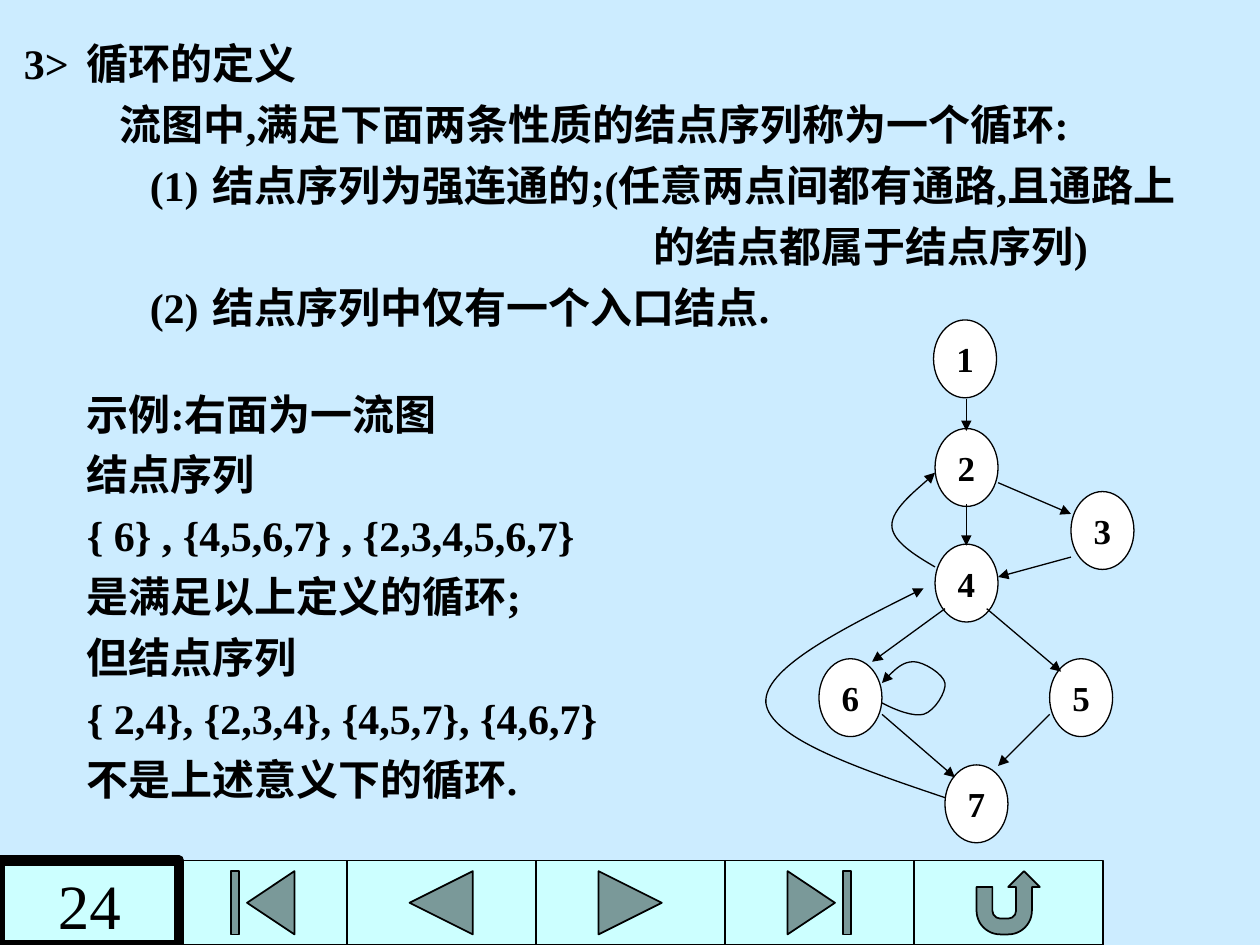
from dataclasses import dataclass
from typing import Any

from lxml import etree
from pptx import Presentation
from pptx import util as u
from pptx.dml import color
from pptx.enum import shapes, text
from pptx.oxml import ns

BLACK, WHITE, SKY, AQUA = "000000", "FFFFFF", "CCECFF", "CCFFFF"
Point = tuple[float, float]


@dataclass
class Line:
    """One paragraph; indent and tab are in cm."""
    content: str
    indent: float = 0
    tab: float = 0
    spacing: float = 1.0


@dataclass
class Node:
    label: str
    left: float
    top: float


@dataclass
class Button:
    kind: Any
    left: float
    width: float = 3.81


DEFINITION = [
    Line("3>\t循环的定义", tab=1.55),
    Line("流图中,满足下面两条性质的结点序列称为一个循环:", indent=1.94),
    Line("(1)\t结点序列为强连通的;(任意两点间都有通路,且通路上", indent=2.54, tab=4.17),
    Line("的结点都属于结点序列)", indent=12.7),
    Line("(2)\t结点序列中仅有一个入口结点.", indent=2.54, tab=4.17),
]
EXAMPLE = [
    Line("示例:右面为一流图", spacing=1.5),
    Line("结点序列"),
    Line("{ 6} , {4,5,6,7} , {2,3,4,5,6,7}"),
    Line("是满足以上定义的循环;"),
    Line("但结点序列"),
    Line("{ 2,4}, {2,3,4}, {4,5,7}, {4,6,7}"),
    Line("不是上述意义下的循环."),
]
NODES = [
    Node("1", 18.82, 6.45), Node("2", 18.85, 8.64), Node("4", 18.85, 10.97),
    Node("3", 21.59, 9.91), Node("6", 16.51, 13.28), Node("5", 21.16, 13.28),
    Node("7", 19.05, 15.42),
]
EDGES = [
    ((19.48, 8.05), (19.48, 8.69)),
    ((19.48, 10.16), (19.48, 11)),
    ((20.12, 9.73), (21.59, 10.36)),
    ((21.59, 11.23), (20.12, 11.63)),
    ((19.05, 12.27), (17.58, 13.34)),
    ((19.89, 12.27), (21.39, 13.54)),
    ((17.78, 14.4), (19.25, 15.67)),
    ((21.16, 14.4), (20.12, 15.44)),
]
BACK_EDGES = [
    [(18.85, 11.43), (18.42, 11.18), (17.98, 10.9), (17.98, 10.59),
     (17.98, 10.26), (18.69, 9.7), (18.85, 9.53)],
    [(17.78, 14.17), (18.08, 14.33), (18.42, 14.45), (18.62, 14.4),
     (18.85, 14.33), (19.08, 13.94), (19.05, 13.77),
     (19.02, 13.59), (18.62, 13.34), (18.42, 13.34),
     (18.21, 13.34), (17.98, 13.54), (17.78, 13.77)],
    [(19.05, 16.08), (17.3, 15.49), (15.52, 14.88), (15.44, 14.17),
     (15.39, 13.49), (16.99, 12.67), (18.62, 11.86)],
]
KIND = shapes.MSO_SHAPE
BUTTONS = [
    Button(KIND.ACTION_BUTTON_BEGINNING, 3.61, 3.38),
    Button(KIND.ACTION_BUTTON_BACK_OR_PREVIOUS, 6.99),
    Button(KIND.ACTION_BUTTON_FORWARD_OR_NEXT, 10.8),
    Button(KIND.ACTION_BUTTON_END, 14.61),
    Button(KIND.ACTION_BUTTON_RETURN, 18.42),
]
BAR_TOP, BAR_HEIGHT = 17.35, 1.7


def rgb(value: str) -> color.RGBColor:
    return color.RGBColor.from_string(value)


def add_text(paragraph: Any, content: str, size: float, bold: bool = True) -> None:
    run = paragraph.add_run()
    run.text = content
    values = {"name": "Times New Roman", "size": u.Pt(size), "bold": bold}
    for name, value in values.items():
        setattr(run.font, name, value)
    run.font.color.rgb = rgb(BLACK)


def set_line(shape: Any, width: float) -> None:
    shape.line.color.rgb = rgb(BLACK)
    shape.line.width = u.Pt(width)


def add_arrowhead(shape: Any) -> None:
    line = shape.line._get_or_add_ln()
    etree.SubElement(line, ns.qn("a:tailEnd"), type="triangle")


def add_box(slide: Any, kind: Any, left: float, top: float, width: float,
            height: float, fill: str, line_width: float) -> Any:
    shape = slide.shapes.add_shape(kind, u.Cm(left), u.Cm(top), u.Cm(width), u.Cm(height))
    shape.shadow.inherit = False
    shape.fill.solid()
    shape.fill.fore_color.rgb = rgb(fill)
    set_line(shape, line_width)
    return shape


def add_label(shape: Any, content: str, size: float, bold: bool, anchor: Any) -> None:
    shape.text_frame.vertical_anchor = anchor
    paragraph = shape.text_frame.paragraphs[0]
    paragraph.alignment = text.PP_ALIGN.CENTER
    add_text(paragraph, content, size, bold)


def add_lines(slide: Any, lines: list[Line], left: float, top: float,
              width: float, height: float) -> None:
    box = slide.shapes.add_textbox(u.Cm(left), u.Cm(top), u.Cm(width), u.Cm(height))
    frame = box.text_frame
    frame.word_wrap = True
    frame.margin_right = 0
    for index, line in enumerate(lines):
        paragraph = frame.add_paragraph() if index else frame.paragraphs[0]
        properties = paragraph._p.get_or_add_pPr()
        properties.set("marL", "0")
        properties.set("indent", str(u.Cm(line.indent)))
        if line.tab:
            tabs = etree.SubElement(properties, ns.qn("a:tabLst"))
            etree.SubElement(tabs, ns.qn("a:tab"), pos=str(u.Cm(line.tab)), algn="l")
        values = {"line_spacing": line.spacing, "space_before": u.Pt(6 if index else 0)}
        for name, value in values.items():
            setattr(paragraph, name, value)
        add_text(paragraph, line.content, 24)


def add_arrow(slide: Any, start: Point, end: Point) -> None:
    arrow = slide.shapes.add_connector(
        shapes.MSO_CONNECTOR.STRAIGHT, *(u.Cm(value) for value in (*start, *end)))
    set_line(arrow, 0.75)
    add_arrowhead(arrow)
    etree.SubElement(arrow._element.spPr, ns.qn("a:effectLst"))


def add_curved_arrow(slide: Any, points: list[Point]) -> None:
    """Draw Bezier segments: a start, then two controls and an end for each."""
    start, *others = [(u.Cm(x), u.Cm(y)) for x, y in points]
    builder = slide.shapes.build_freeform(*start)
    builder.add_line_segments(others, close=False)
    curve = builder.convert_to_shape()
    outline = next(curve._element.iter(ns.qn("a:path")))
    segments = outline.findall(ns.qn("a:lnTo"))
    for first in range(0, len(segments), 3):
        bezier = etree.SubElement(outline, ns.qn("a:cubicBezTo"))
        for segment in segments[first:first + 3]:
            bezier.append(segment[0])
            outline.remove(segment)
    curve.shadow.inherit = False
    curve.fill.background()
    set_line(curve, 0.75)
    add_arrowhead(curve)


def main() -> None:
    presentation = Presentation()
    presentation.slide_width, presentation.slide_height = u.Cm(25.4), u.Cm(19.05)
    slide = presentation.slides.add_slide(presentation.slide_layouts[6])
    slide.background.fill.solid()
    slide.background.fill.fore_color.rgb = rgb(SKY)

    for button in BUTTONS:
        add_box(slide, button.kind, button.left, BAR_TOP, button.width, BAR_HEIGHT, AQUA, 1)
    add_lines(slide, DEFINITION, 0.23, 0.64, 24.9, 6.2)
    add_lines(slide, EXAMPLE, 1.5, 7.19, 10.82, 9.14)
    for node in NODES:
        circle = add_box(slide, KIND.OVAL, node.left, node.top, 1.27, 1.57, WHITE, 0.75)
        add_label(circle, node.label, 20, True, text.MSO_ANCHOR.MIDDLE)
    for start, end in EDGES:
        add_arrow(slide, start, end)
    for points in BACK_EDGES:
        add_curved_arrow(slide, points)
    number = add_box(slide, KIND.RECTANGLE, 0, BAR_TOP, 3.61, BAR_HEIGHT, AQUA, 6)
    add_label(number, "24", 36, False, text.MSO_ANCHOR.TOP)

    presentation.save("out.pptx")


if __name__ == "__main__":
    main()
